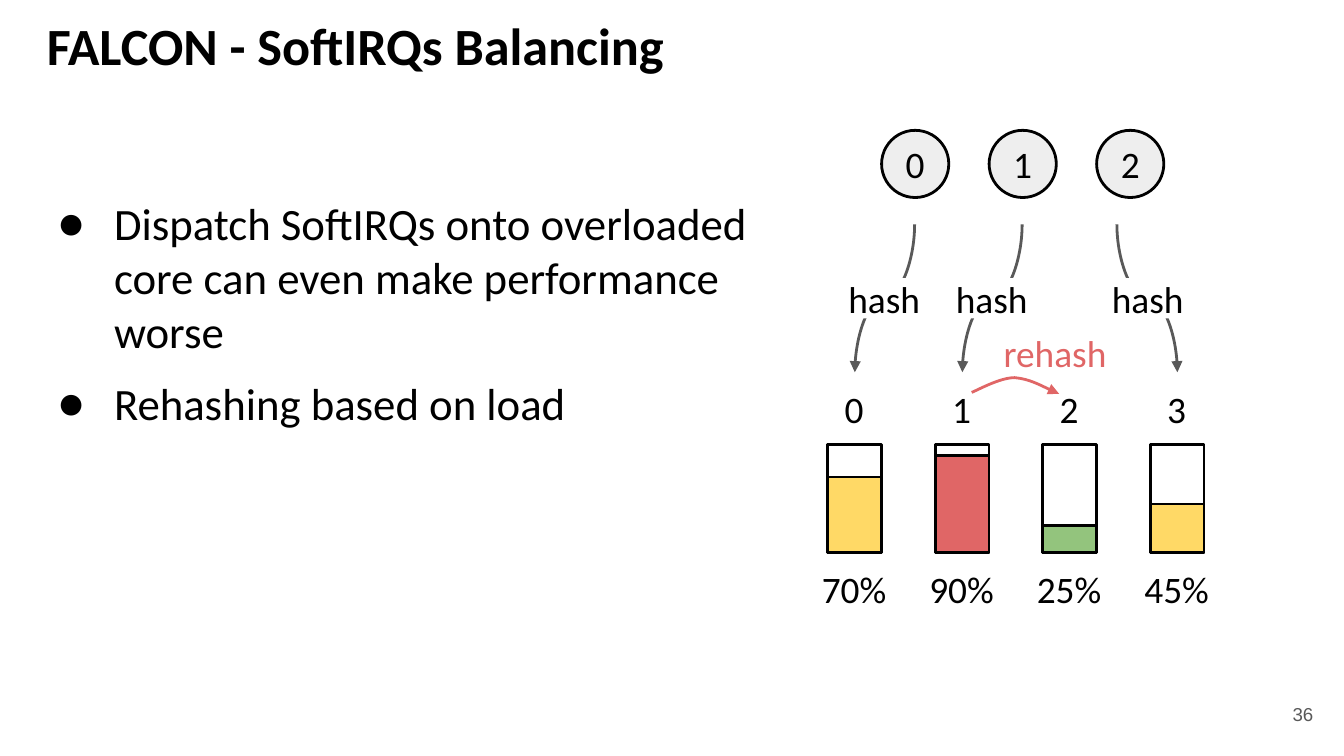
"""Build the slide on balancing SoftIRQs, on a grid of 100 columns."""
from lxml import etree
from pptx import Presentation
from pptx import util as u
from pptx.dml.color import RGBColor
from pptx.enum import shapes, text
from pptx.oxml.ns import qn

HUES = {
    "ink": "000000", "paper": "FFFFFF", "disc": "EEEEEE", "wire": "595959",
    "high": "E06666", "mid": "FFD966", "low": "93C47D",
}
WIDE, TALL = u.Inches(10), u.Inches(5.625)
CELL = WIDE / 100
STEP = 8
LEFT, MIDDLE, RIGHT = text.PP_ALIGN.LEFT, text.PP_ALIGN.CENTER, text.PP_ALIGN.RIGHT
CORES = [(70, "mid"), (90, "high"), (25, "low"), (45, "mid")]


def grid(*units):
    """Turn grid units into lengths."""
    return [u.Emu(round(n * CELL)) for n in units]


def hue(name):
    """Look up a colour by name."""
    return RGBColor.from_string(HUES[name])


def style(item, size, name="ink", align=MIDDLE, font="Calibri", bold=False):
    """Format all the text of an item."""
    frame = item.text_frame
    frame.word_wrap = True
    frame.margin_left = frame.margin_right = u.Inches(0.1)
    frame.margin_top = frame.margin_bottom = u.Inches(0.1)
    for para in frame.paragraphs:
        para.alignment = align
        for run in para.runs:
            run.font.name, run.font.size, run.font.bold = font, u.Pt(size), bold
            run.font.color.rgb = hue(name)


def label(slide, words, place, size=20, **look):
    """Add a text box."""
    item = slide.shapes.add_textbox(*grid(*place))
    item.text_frame.text = words
    style(item, size, **look)
    return item


def block(slide, kind, place, fill=None, edge=True, words="", name="ink"):
    """Add a preset shape with optional fill, edge and words."""
    item = slide.shapes.add_shape(kind, *grid(*place))
    item.shadow.inherit = False
    if fill:
        item.fill.solid()
        item.fill.fore_color.rgb = hue(fill)
    else:
        item.fill.background()
    if edge:
        item.line.color.rgb, item.line.width = hue("ink"), u.Pt(1.5)
    else:
        item.line.fill.background()
    if words:
        item.text_frame.text = words
        item.text_frame.vertical_anchor = text.MSO_ANCHOR.MIDDLE
        style(item, 20, name)


def arrow(item, name):
    """Give a line its colour, width and arrowhead."""
    item.line.color.rgb, item.line.width = hue(name), u.Pt(1.5)
    edge = item.line._get_or_add_ln()
    etree.SubElement(edge, qn("a:tailEnd"), type="triangle")


def wire(slide, start, end, top, drop):
    """Add a curved connector that runs downward."""
    mid, half, side = (start + end) / 2, drop / 2, abs(end - start) / 2
    turn = 1 if end < start else -1
    ends = grid(mid - turn * half, top + half - side, mid + turn * half, top + half + side)
    item = slide.shapes.add_connector(shapes.MSO_CONNECTOR.CURVE, *ends)
    props = item._element.spPr
    props.find(qn("a:xfrm")).set("rot", str(turn * 90 % 360 * 60000))
    arrow(item, "wire")
    etree.SubElement(props, qn("a:effectLst"))


def bend(slide, first, *points):
    """Add an open Bezier curve, three points to each part."""
    pen = slide.shapes.build_freeform(*grid(*first), scale=1.0)
    pen.add_line_segments([grid(*point) for point in points], close=False)
    item = pen.convert_to_shape()
    item.shadow.inherit = False
    item.fill.background()
    arrow(item, "high")
    track = item._element.find(".//" + qn("a:path"))
    lines = track.findall(qn("a:lnTo"))
    for start in range(0, len(lines), 3):
        curve = etree.SubElement(track, qn("a:cubicBezTo"))
        for line in lines[start:start + 3]:
            curve.append(line[0])
            track.remove(line)


def bullets(slide, lines, place):
    """Add a bulleted list."""
    item = label(slide, "\n".join(lines), place, 24, align=LEFT)
    for count, para in enumerate(item.text_frame.paragraphs):
        props = para._p.get_or_add_pPr()
        props.set("marL", str(u.Inches(0.5)))
        props.set("indent", str(u.Inches(-0.42)))
        tint = etree.SubElement(props, qn("a:buClr"))
        etree.SubElement(tint, qn("a:srgbClr"), val=HUES["ink"])
        etree.SubElement(props, qn("a:buFont"), typeface="Calibri")
        etree.SubElement(props, qn("a:buChar"), char="●")
        if count:
            para.space_before = para.space_after = u.Pt(10)


def core(slide, count, load, fill):
    """Add one core with its number, load bar and share."""
    left, top, full = 61.6 + count * STEP, 33.1, 8
    part = full * load / 100
    rect = shapes.MSO_SHAPE.RECTANGLE
    block(slide, rect, (left, top, 4, full))
    block(slide, rect, (left, top + full - part, 4, part), fill)
    label(slide, f"{load}%", (left - 1.6, 41.1, 7.1, 5.4))
    label(slide, str(count), (left - 1.6, 27.7, 7.1, 5.4))


def flow(slide, count, start, end, tag):
    """Add one source and its hashed path to a core."""
    disc = shapes.MSO_SHAPE.FLOWCHART_CONNECTOR
    block(slide, disc, (65.6 + count * STEP, 9.7, 5, 5), "disc", words=str(count))
    wire(slide, start, end, 16.7, 11)
    rect = shapes.MSO_SHAPE.RECTANGLE
    block(slide, rect, (tag, 20.7, 8, 3), "paper", False, "hash")


def main():
    """Build and save the slide."""
    deck = Presentation()
    deck.slide_width, deck.slide_height = WIDE, TALL
    slide = deck.slides.add_slide(deck.slide_layouts[6])
    page = label(slide, "36", (92.7, 51, 6, 4.3), 10, name="wire", align=RIGHT, font="Arial")
    page.text_frame.vertical_anchor = text.MSO_ANCHOR.MIDDLE
    for count, (load, fill) in enumerate(CORES):
        core(slide, count, load, fill)
    paths = [(68.05, 63.6, 61.8), (76.05, 71.6, 69.8), (83.1, 87.6, 81.4)]
    for count, path in enumerate(paths):
        flow(slide, count, *path)
    bend(slide, (72.3, 29.2), (72.8, 29), (74.4, 28.1), (75.5, 28.1),
         (76.6, 28.2), (78.3, 29.1), (78.8, 29.3))
    rect = shapes.MSO_SHAPE.RECTANGLE
    block(slide, rect, (73.6, 24.7, 9.8, 3), "paper", False, "rehash", "high")
    label(slide, "FALCON - SoftIRQs Balancing", (2.5, 0, 93.2, 6.7), 28, align=LEFT, bold=True)
    bullets(slide, [
        "Dispatch SoftIRQs onto overloaded core can even make performance worse",
        "Rehashing based on load",
    ], (2.5, 13.6, 57.5, 19.6))
    deck.save("out.pptx")


if __name__ == "__main__":
    main()
